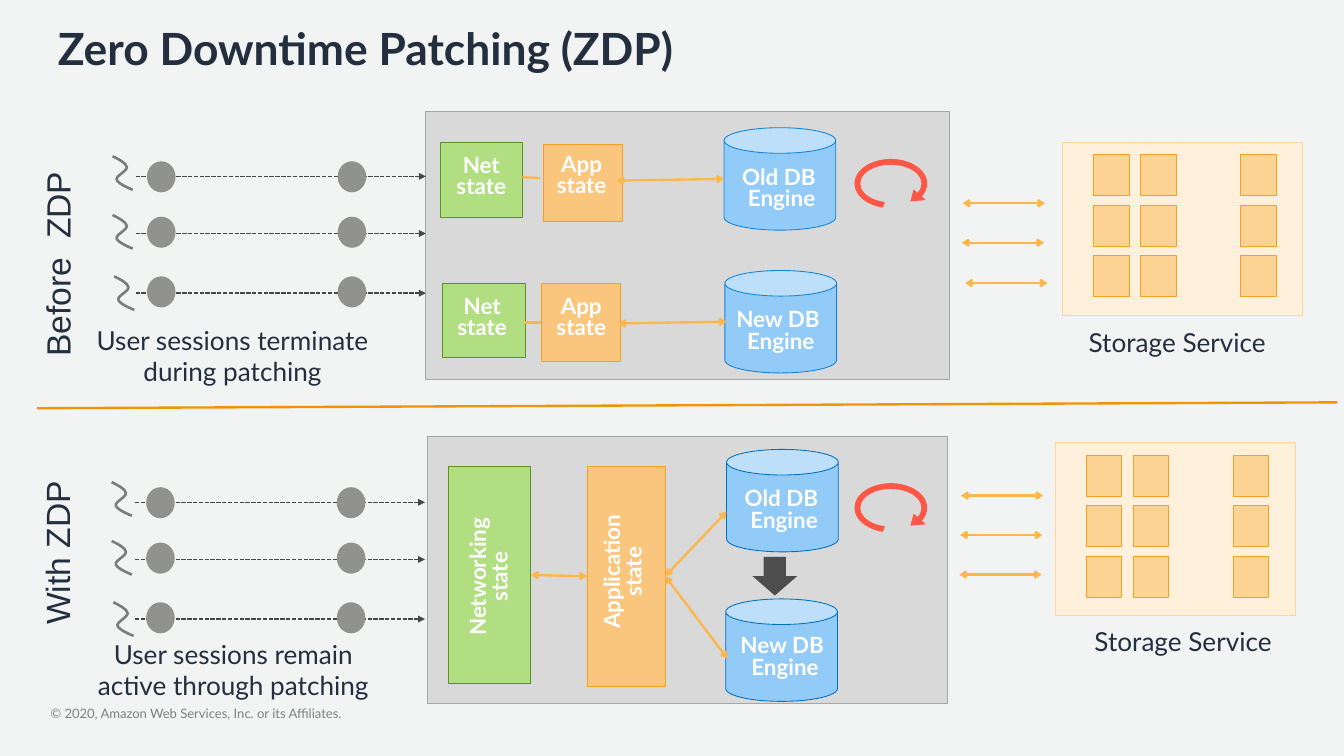
"""Build the Zero Downtime Patching slide."""
from lxml import etree
from pptx import Presentation
from pptx.dml.color import RGBColor
from pptx.enum.dml import MSO_LINE
from pptx.enum.shapes import MSO_CONNECTOR, MSO_SHAPE
from pptx.enum.text import PP_ALIGN
from pptx.oxml.ns import qn
from pptx.util import Inches, Pt

RECT, CAN, OVAL = MSO_SHAPE.RECTANGLE, MSO_SHAPE.CAN, MSO_SHAPE.OVAL
DOWN, LOOP = MSO_SHAPE.DOWN_ARROW, MSO_SHAPE.CIRCULAR_ARROW
STRAIGHT, DASH = MSO_CONNECTOR.STRAIGHT, MSO_LINE.SQUARE_DOT
LEFT, CENTER = PP_ALIGN.LEFT, PP_ALIGN.CENTER
LEFT_SIDE, RIGHT_SIDE = 1, 3

COLORS = {
    "back": "F2F4F4", "ink": "232F3E", "white": "FFFFFF", "note": "808080",
    "panel": "D9D9D9", "panel edge": "A6A6A6",
    "net": "B0DE81", "net edge": "5C9126",
    "app": "FAC67E", "app edge": "F7A028",
    "can": "92CBF7", "can edge": "1083DC", "can rim": "0070C0",
    "store": "FEF0DB", "store edge": "FFD699", "cell": "FDD394",
    "flow": "FCB64C", "rule": "F29304", "loop": "FF5745",
    "down": "4C4D4C", "wave": "7C7C7C", "dash": "474746", "dot": "919190",
}
RGB = {name: RGBColor.from_string(code) for name, code in COLORS.items()}

deck = Presentation()
deck.slide_width, deck.slide_height = Inches(16), Inches(9)
slide = deck.slides.add_slide(deck.slide_layouts[6])
slide.background.fill.solid()
slide.background.fill.fore_color.rgb = RGB["back"]
shapes = slide.shapes


def add_box(kind, x, y, w, h, fill, edge=None):
    box = shapes.add_shape(kind, Inches(x), Inches(y), Inches(w), Inches(h))
    box.shadow.inherit = False
    box.fill.solid()
    box.fill.fore_color.rgb = RGB[fill]
    if edge:
        box.line.color.rgb = RGB[edge]
        box.line.width = Pt(0.75)
    else:
        box.line.fill.background()
    return box


def add_line(x1, y1, x2, y2, color="flow", width=2, heads=(), kind="arrow"):
    line = shapes.add_connector(
        STRAIGHT, Inches(x1), Inches(y1), Inches(x2), Inches(y2))
    line.line.color.rgb = RGB[color]
    line.line.width = Pt(width)
    if color == "dash":
        line.line.dash_style = DASH
    props = line._element.spPr
    for head in heads:
        etree.SubElement(props.find(qn("a:ln")), qn("a:" + head), type=kind)
    etree.SubElement(props, qn("a:effectLst"))
    return line


BOTH = ("headEnd", "tailEnd")

add_box(RECT, 5.07, 1.33, 6.23, 3.19, "panel", "panel edge")
add_box(RECT, 5.09, 5.19, 6.19, 3.19, "panel", "panel edge")
add_line(0.44, 4.86, 15.92, 4.79, "rule")

for x, y in [(5.24, 1.7), (5.27, 3.37)]:
    add_box(RECT, x, y, 0.98, 0.89, "net", "net edge")
for x, y in [(6.47, 1.72), (6.45, 3.38)]:
    add_box(RECT, x, y, 0.94, 0.92, "app", "app edge")
net = add_box(RECT, 5.34, 5.55, 0.98, 2.59, "net", "net edge")
app = add_box(RECT, 6.99, 5.55, 0.93, 2.62, "app", "app edge")

for x, y, edge in [(8.62, 1.52, "can edge"), (8.63, 3.22, "can edge"),
                   (8.65, 5.35, "can rim"), (8.64, 7.13, "can rim")]:
    add_box(CAN, x, y, 1.33, 1.22, "can", edge)

add_line(6.22, 2.11, 6.43, 2.12)
add_line(6.24, 3.84, 6.44, 3.84)
add_line(7.34, 2.15, 8.62, 2.13, heads=BOTH)
add_line(7.36, 3.85, 8.65, 3.83, heads=BOTH)
link = add_line(6.99, 6.85, 6.33, 6.85, heads=BOTH)
link.begin_connect(app, LEFT_SIDE)
link.end_connect(net, RIGHT_SIDE)
for end_x, end_y in [(8.66, 7.84), (8.65, 6.09)]:
    link = add_line(7.92, 6.85, end_x, end_y, heads=BOTH)
    link.begin_connect(app, RIGHT_SIDE)

add_box(DOWN, 8.96, 6.63, 0.53, 0.46, "down")
for y in (1.7, 5.56):
    loop = add_box(LOOP, 10.26, y, 0.69, 0.97, "loop", "loop")
    loop.rotation = 90
    for i, value in enumerate((0.084, 11.423, 175.066, 11.492, 0.125)):
        loop.adjustments[i] = value

WAVE = [(0.08, 0.04), (0.16, 0.08), (0.17, 0.13),
        (0.17, 0.18), (0.03, 0.24), (0.05, 0.28),
        (0.06, 0.33), (0.24, 0.4), (0.24, 0.4)]
for dx, dy in [(0, 0), (-0.01, 3.88)]:
    for wave_x, wave_y, line_y, dot_y in [
            (1.34, 1.86, 2.1, 1.92), (1.34, 2.56, 2.78, 2.58),
            (1.36, 3.29, 3.49, 3.29)]:
        x, y = wave_x + dx, wave_y + dy
        path = shapes.build_freeform(Inches(x), Inches(y))
        path.add_line_segments(
            [(Inches(x + px), Inches(y + py)) for px, py in WAVE], close=False)
        curl = path.convert_to_shape()
        curl.shadow.inherit = False
        curl.fill.background()
        curl.line.color.rgb = RGB["wave"]
        curl.line.width = Pt(2.25)
        steps = list(curl._element.iter(qn("a:lnTo")))
        for i in range(0, len(steps), 3):
            bend = etree.SubElement(steps[i].getparent(), qn("a:cubicBezTo"))
            for step in steps[i:i + 3]:
                bend.append(step[0])
                step.getparent().remove(step)
        add_line(5.07 + dx, line_y + dy, 1.61 + dx, line_y + dy,
                 "dash", 1.25, ("headEnd",), "triangle")
        for dot_x in (1.75, 4.02):
            add_box(OVAL, dot_x + dx, dot_y + dy, 0.34, 0.37, "dot")

for x, y in [(11.46, 2.42), (11.45, 2.89), (11.49, 3.37),
             (11.44, 5.9), (11.43, 6.37), (11.42, 6.84)]:
    add_line(x, y, x + 0.98, y, heads=BOTH)

for x, y in [(12.65, 1.69), (12.56, 5.27)]:
    add_box(RECT, x, y, 2.86, 2.06, "store", "store edge")
    for row in range(3):
        for gap in (0.37, 0.93, 2.12):
            add_box(RECT, x + gap, y + 0.15 + row * 0.6, 0.42, 0.49,
                    "cell", "app edge")

HEAD = (38, "Lato", "ink", True, LEFT, 1)
SIDE = (28.8, "Arial", "ink", False, CENTER, 1)
BODY = (22.4, "Lato", "ink", False, CENTER, 1)
PART = (19.2, "Lato", "white", True, CENTER, 0.8)
NOTE = (11.2, "Lato", "note", False, LEFT, 1)
LABELS = [
    ("Zero Downtime Patching (ZDP)", 0.59, 0.2, 14.36, 0.95, 0, HEAD),
    ("Before ZDP", -0.8, 2.85, 2.97, 0.59, 270, SIDE),
    ("With ZDP", -0.63, 6.29, 2.62, 0.59, 270, SIDE),
    ("User sessions terminate during patching", 0.82, 3.81, 3.9, 0.85, 0, BODY),
    ("User sessions remain active through patching", 0.83, 7.55, 3.9, 0.85, 0, BODY),
    ("Storage Service", 12.19, 3.84, 3.65, 0.48, 0, BODY),
    ("Storage Service", 12.26, 7.4, 3.65, 0.48, 0, BODY),
    ("Net state", 5.26, 1.81, 0.94, 0.63, 0, PART),
    ("App state", 6.38, 1.8, 1.09, 0.63, 0, PART),
    ("Net state", 5.27, 3.49, 0.94, 0.63, 0, PART),
    ("App state", 6.45, 3.49, 0.94, 0.63, 0, PART),
    ("Networking\nstate", 4.95, 6.55, 1.8, 0.63, 270, PART),
    ("Application\nstate", 6.54, 6.49, 1.81, 0.63, 270, PART),
    ("Old DB \nEngine", 8.62, 1.95, 1.37, 0.63, 0, PART),
    ("New DB \nEngine", 8.61, 3.65, 1.37, 0.63, 0, PART),
    ("Old DB \nEngine", 8.65, 5.78, 1.37, 0.63, 0, PART),
    ("New DB \nEngine", 8.66, 7.53, 1.37, 0.63, 0, PART),
    ("© 2020, Amazon Web Services, Inc. or its Affiliates.",
     0.6, 8.4, 7.78, 0.19, 0, NOTE),
]
for text, x, y, w, h, turn, (size, face, color, bold, align, space) in LABELS:
    label = shapes.add_textbox(Inches(x), Inches(y), Inches(w), Inches(h))
    label.rotation = turn
    frame = label.text_frame
    frame.word_wrap = True
    if color == "note":
        frame.margin_left = frame.margin_top = Inches(0)
        frame.margin_right = frame.margin_bottom = Inches(0)
    frame.text = text
    if text == "Before ZDP":
        para = frame.paragraphs[0]
        para.text = "Before"
        for part in (" ", "ZDP"):
            para.add_run().text = part
        para.runs[1].font._element.set("spc", "800")
    for para in frame.paragraphs:
        para.alignment = align
        para.line_spacing = space
        for run in para.runs:
            run.font.size = Pt(size)
            run.font.name = face
            run.font.bold = bold
            run.font.color.rgb = RGB[color]

deck.save("out.pptx")
